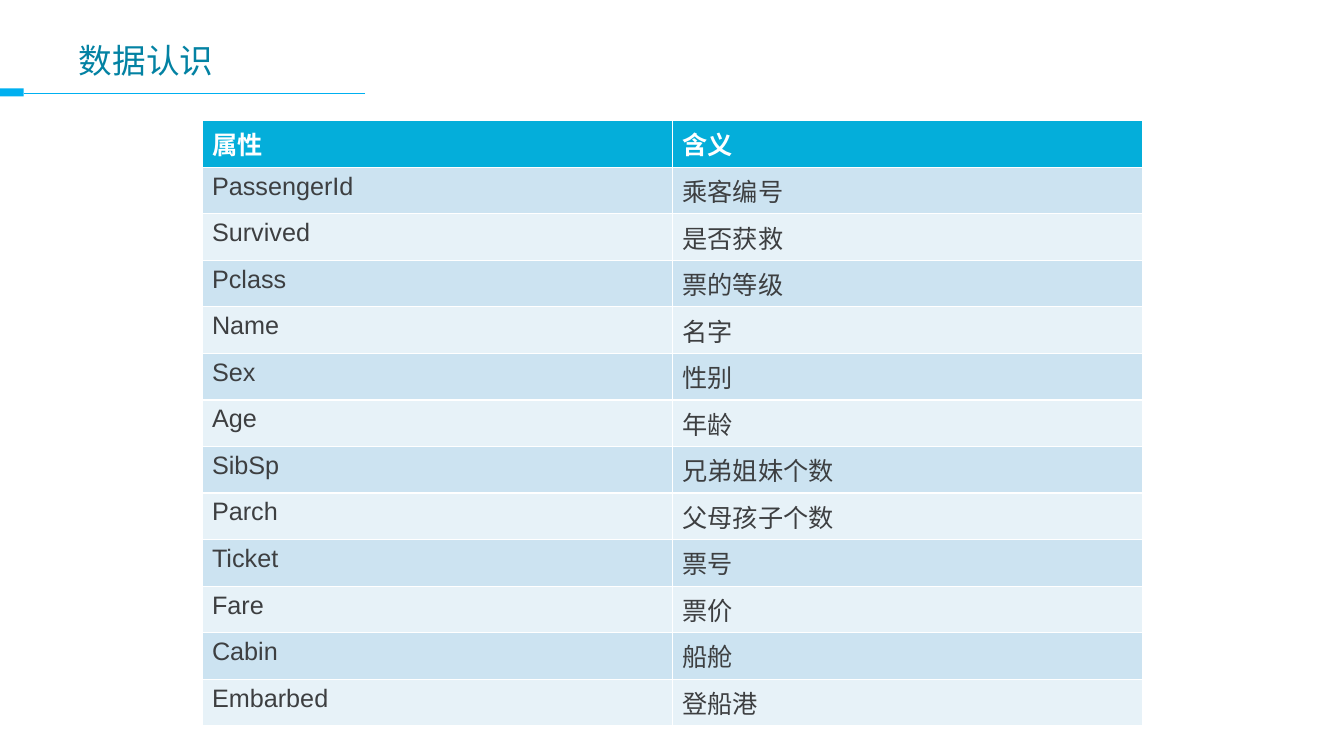
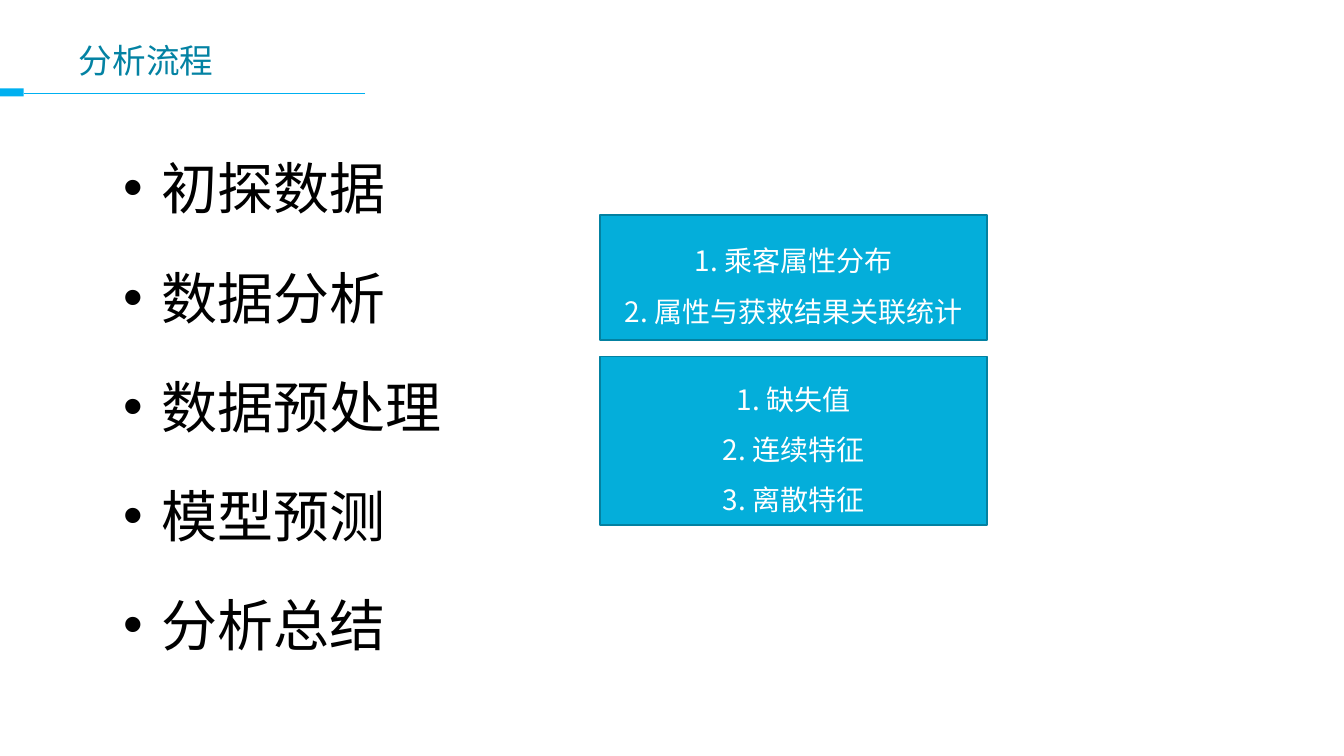
from pptx import Presentation
from pptx.dml.color import RGBColor
from pptx.enum.shapes import MSO_CONNECTOR, MSO_SHAPE
from pptx.enum.text import MSO_ANCHOR, PP_ALIGN
from pptx.oxml.ns import qn
from pptx.util import Cm, Pt
from lxml.etree import SubElement

WHITE = RGBColor(0xFF, 0xFF, 0xFF)
BLACK = RGBColor(0x00, 0x00, 0x00)
SKY = RGBColor(0x00, 0xB0, 0xF0)
CYAN = RGBColor(0x04, 0xAE, 0xDA)
TEAL = RGBColor(0x03, 0x82, 0xA3)
BOX_LINE = RGBColor(0x03, 0x81, 0xA1)
INK = RGBColor(0x3D, 0x3F, 0x41)
BAND_COLORS = (RGBColor(0xE7, 0xF2, 0xF8), RGBColor(0xCC, 0xE3, 0xF1))

LATIN_FONT = "Arial"
CHINESE_FONT = "Noto Sans CJK SC"

ATTRIBUTES = [
    ("属性", "含义"),
    ("PassengerId", "乘客编号"),
    ("Survived", "是否获救"),
    ("Pclass", "票的等级"),
    ("Name", "名字"),
    ("Sex", "性别"),
    ("Age", "年龄"),
    ("SibSp", "兄弟姐妹个数"),
    ("Parch", "父母孩子个数"),
    ("Ticket", "票号"),
    ("Fare", "票价"),
    ("Cabin", "船舱"),
    ("Embarbed", "登船港"),
]
STEPS = ["初探数据", "数据分析", "数据预处理", "模型预测", "分析总结"]
ANALYSIS_TASKS = ["1. 乘客属性分布", "2. 属性与获救结果关联统计"]
PREPROCESSING_TASKS = ["1. 缺失值", "2. 连续特征", "3. 离散特征"]


class Deck:
    def __init__(self):
        self.presentation = Presentation()
        self.presentation.slide_width = Cm(33.87)
        self.presentation.slide_height = Cm(19.05)
        self.slide = None

    def add_slide(self, title):
        self.slide = self.presentation.slides.add_slide(self.presentation.slide_layouts[6])
        line = self.slide.shapes.add_connector(
            MSO_CONNECTOR.STRAIGHT, Cm(9.2), Cm(2.35), Cm(0.6), Cm(2.35))
        line.line.color.rgb = SKY
        line.line.width = Pt(0.75)
        SubElement(line._element.spPr, qn("a:effectLst"))
        self.add_rectangle(0, 2.23, 0.6, 0.2, SKY)
        frame = self.add_text_frame(1.74, 0.71, 30.48, 1.6)
        frame.vertical_anchor = MSO_ANCHOR.MIDDLE
        self.add_run(frame.paragraphs[0], title, 24, TEAL)

    def add_run(self, paragraph, text, size, color, font=LATIN_FONT, bold=False):
        run = paragraph.add_run()
        run.text = text
        run.font.size = Pt(size)
        run.font.name = font
        run.font.bold = bold
        run.font.color.rgb = color
        SubElement(run.font._element, qn("a:ea"), typeface=CHINESE_FONT)

    def add_paragraphs(self, frame, lines, size, color, font=LATIN_FONT):
        for index, text in enumerate(lines):
            paragraph = frame.add_paragraph() if index else frame.paragraphs[0]
            paragraph.line_spacing = 1.5
            self.add_run(paragraph, text, size, color, font)
        return frame.paragraphs

    def add_text_frame(self, left, top, width, height):
        shape = self.slide.shapes.add_textbox(Cm(left), Cm(top), Cm(width), Cm(height))
        shape.text_frame.word_wrap = True
        return shape.text_frame

    def add_rectangle(self, left, top, width, height, fill):
        shape = self.slide.shapes.add_shape(
            MSO_SHAPE.RECTANGLE, Cm(left), Cm(top), Cm(width), Cm(height))
        shape.shadow.inherit = False
        shape.fill.solid()
        shape.fill.fore_color.rgb = fill
        shape.line.fill.background()
        return shape

    def add_task_box(self, top, height, lines):
        shape = self.add_rectangle(15.12, top, 9.76, height, CYAN)
        shape.line.color.rgb = BOX_LINE
        shape.line.width = Pt(1)
        frame = shape.text_frame
        frame.word_wrap = True
        frame.vertical_anchor = MSO_ANCHOR.MIDDLE
        for paragraph in self.add_paragraphs(frame, lines, 20, WHITE, CHINESE_FONT):
            paragraph.alignment = PP_ALIGN.CENTER

    def add_bullets(self, lines):
        frame = self.add_text_frame(2.87, 2.91, 30.48, 13.59)
        for paragraph in self.add_paragraphs(frame, lines, 40, BLACK):
            paragraph.space_before = paragraph.space_after = Pt(3)
            properties = paragraph._p.get_or_add_pPr()
            properties.set("marL", str(Cm(0.95)))
            properties.set("indent", str(-Cm(0.95)))
            SubElement(properties, qn("a:buFont"), typeface=LATIN_FONT)
            SubElement(properties, qn("a:buChar"), char="•")

    def add_table(self, rows):
        table = self.slide.shapes.add_table(
            len(rows), len(rows[0]), Cm(5.09), Cm(3.04), Cm(23.71), Cm(15.25)).table
        for row_index, row in enumerate(rows):
            header = row_index == 0
            for column_index, text in enumerate(row):
                cell = table.cell(row_index, column_index)
                self.add_run(cell.text_frame.paragraphs[0], text, 18,
                             WHITE if header else INK, bold=header)
                self.add_borders(cell)
                cell.fill.solid()
                cell.fill.fore_color.rgb = CYAN if header else BAND_COLORS[row_index % 2]

    def add_borders(self, cell):
        properties = cell._tc.get_or_add_tcPr()
        for side in "LRTB":
            border = SubElement(properties, qn(f"a:ln{side}"), w=str(Pt(1)))
            SubElement(SubElement(border, qn("a:solidFill")), qn("a:srgbClr"), val=str(WHITE))


def main():
    deck = Deck()
    deck.add_slide("数据认识")
    deck.add_table(ATTRIBUTES)
    deck.add_slide("分析流程")
    deck.add_bullets(STEPS)
    deck.add_task_box(5.42, 3.15, ANALYSIS_TASKS)
    deck.add_task_box(8.99, 4.24, PREPROCESSING_TASKS)
    deck.presentation.save("out.pptx")


if __name__ == "__main__":
    main()
